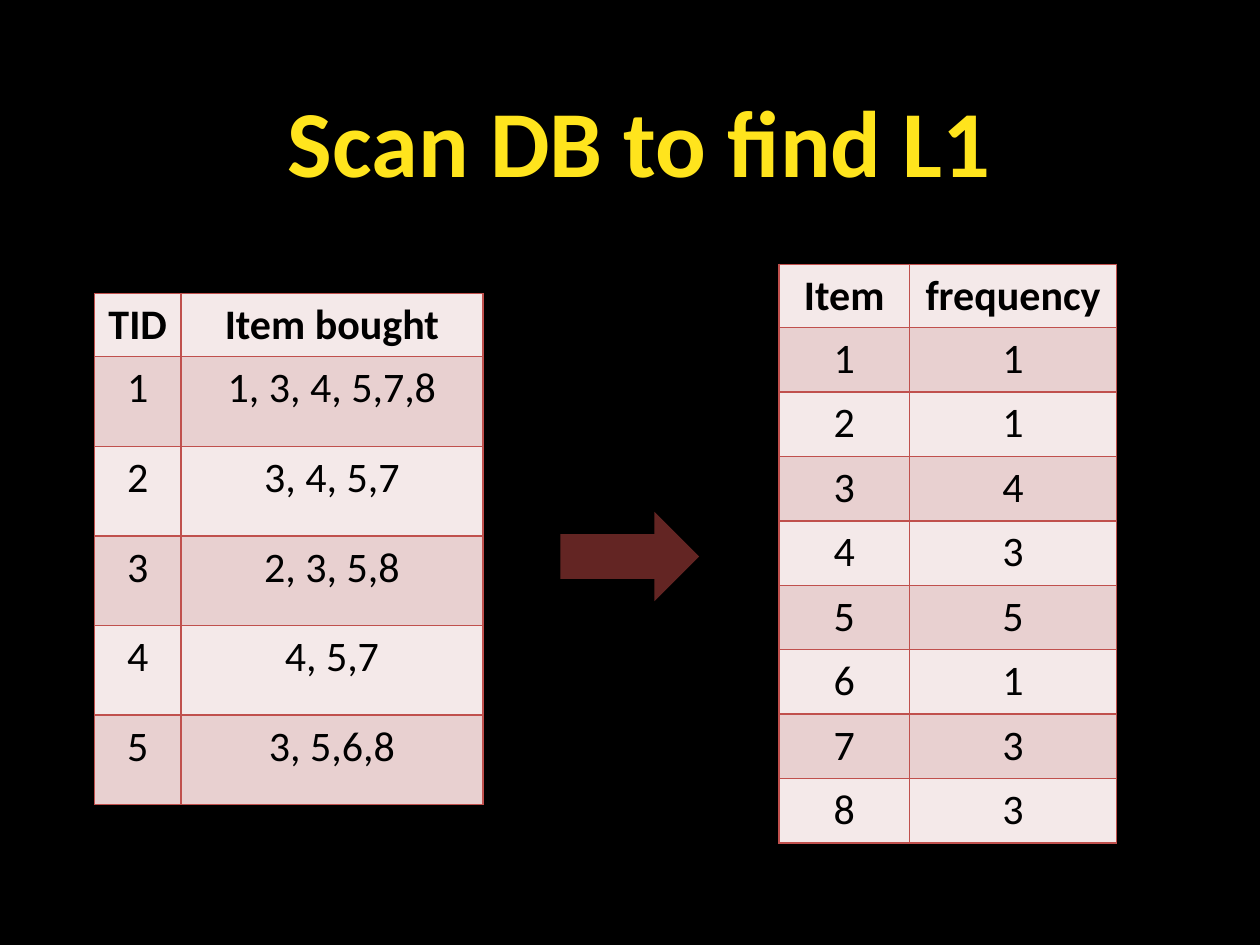
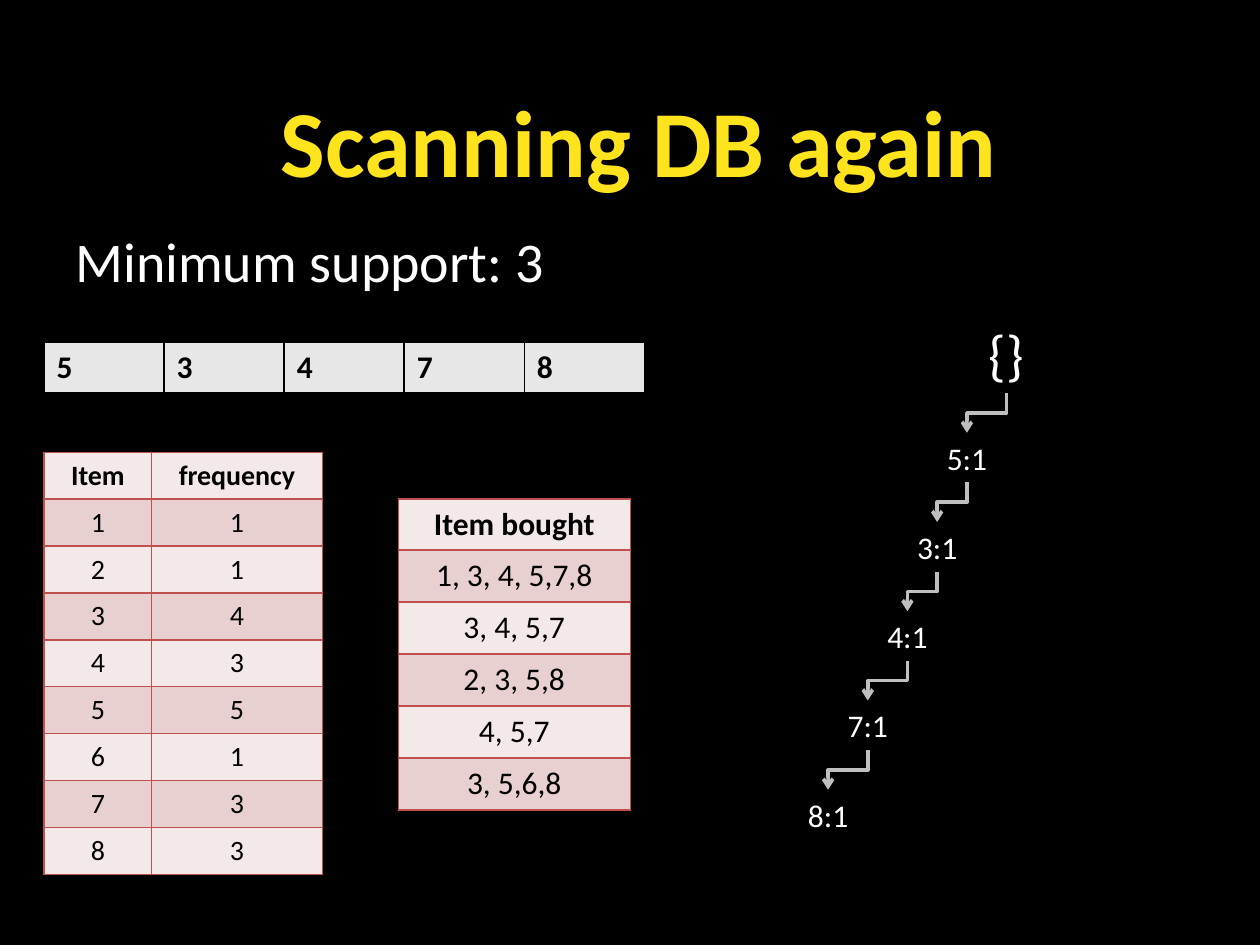
from itertools import pairwise

from lxml import etree
from pptx import Presentation
from pptx.dml.color import RGBColor
from pptx.enum import shapes, text
from pptx.oxml import ns
from pptx.util import Pt

BLACK = RGBColor(0x00, 0x00, 0x00)
WHITE = RGBColor(0xFF, 0xFF, 0xFF)
YELLOW = RGBColor(0xFF, 0xE4, 0x1D)
PALE = RGBColor(0xF4, 0xE9, 0xE9)
PINK = RGBColor(0xE8, 0xD0, 0xD0)
RED = RGBColor(0xC0, 0x50, 0x4D)
MAROON = RGBColor(0x63, 0x25, 0x23)
LIGHT = RGBColor(0xE7, 0xE7, 0xE7)
GREY = RGBColor(0xBF, 0xBF, 0xBF)

FONT = "Calibri"
CENTER = text.PP_ALIGN.CENTER
LEFT = text.PP_ALIGN.LEFT

BASKETS = ["1, 3, 4, 5,7,8", "3, 4, 5,7", "2, 3, 5,8", "4, 5,7", "3, 5,6,8"]
COUNTS = [1, 1, 4, 3, 5, 1, 3, 3]
ITEMS_BOUGHT = [["Item bought"]] + [[b] for b in BASKETS]
TRANSACTIONS = [["TID", "Item bought"]] + [[str(i), b] for i, b in enumerate(BASKETS, 1)]
FREQUENCIES = [["Item", "frequency"]] + [[str(i), str(n)] for i, n in enumerate(COUNTS, 1)]
FREQUENT_ITEMS = [["5", "3", "4", "7", "8"]]
TREE_NODES = [("{}", 24), ("5:1", 20), ("3:1", 17), ("4:1", 14), ("7:1", 10), ("8:1", 6)]


def write(tf, words, size, color, align=LEFT, bold=False):
    """Put one formatted paragraph into a text frame."""
    tf.text = words
    p = tf.paragraphs[0]
    p.alignment = align
    font = p.runs[0].font
    font.name, font.size, font.bold = FONT, Pt(size), bold
    font.color.rgb = color


def add_text(parent, box, words, size, color, align=LEFT, bold=False):
    """Add a wrapping text box and return its text frame."""
    tf = parent.add_textbox(*map(Pt, box)).text_frame
    tf.word_wrap = True
    write(tf, words, size, color, align, bold)
    return tf


def add_slide(prs, title, box):
    """Add a black slide with a yellow title."""
    s = prs.slides.add_slide(prs.slide_layouts[6])
    fill = s.background.fill
    fill.solid()
    fill.fore_color.rgb = BLACK
    tf = add_text(s.shapes, box, title, 54, YELLOW, CENTER, True)
    tf.word_wrap = False
    return s


def set_borders(cell, color):
    """Draw a one-point line on each side of a cell."""
    tcPr = cell._tc.get_or_add_tcPr()
    for side in ("lnL", "lnR", "lnT", "lnB"):
        ln = etree.SubElement(tcPr, ns.qn(f"a:{side}"), w=str(Pt(1)))
        fill = etree.SubElement(ln, ns.qn("a:solidFill"))
        etree.SubElement(fill, ns.qn("a:srgbClr"), val=str(color))


def add_grid(s, box, rows, widths, head, size, fills=(PALE, PINK), line=RED, align=CENTER):
    """Add a banded table whose body rows share the height below the head."""
    table = s.shapes.add_table(len(rows), len(widths), *map(Pt, box)).table
    for col, width in zip(table.columns, widths):
        col.width = Pt(width)
    for i, row in enumerate(rows):
        table.rows[i].height = Pt((box[3] - head) / (len(rows) - 1) if i else head)
        for j, words in enumerate(row):
            cell = table.cell(i, j)
            write(cell.text_frame, words, size, BLACK, align, i == 0)
            set_borders(cell, line)
            cell.fill.solid()
            cell.fill.fore_color.rgb = fills[i % len(fills)]


def add_arrow(s, box):
    """Add the block arrow between two tables."""
    sp = s.shapes.add_shape(shapes.MSO_SHAPE.RIGHT_ARROW, *map(Pt, box))
    sp.shadow.inherit = False
    sp.fill.solid()
    sp.fill.fore_color.rgb = MAROON
    sp.line.fill.background()


def add_link(parent, x1, y1, x2, y2):
    """Add an elbow arrow that leaves downwards, by a quarter turn."""
    cx, cy, dx, dy = (x1 + x2) / 2, (y1 + y2) / 2, x1 - x2, y2 - y1
    ends = (cx - dy / 2, cy - dx / 2, cx + dy / 2, cy + dx / 2)
    link = parent.add_connector(shapes.MSO_CONNECTOR.ELBOW, *map(Pt, ends))
    link.line.color.rgb = GREY
    link.line.width = Pt(2)
    spPr = link._element.spPr
    spPr.find(ns.qn("a:xfrm")).set("rot", str(90 * 60000))
    etree.SubElement(link.line._get_or_add_ln(), ns.qn("a:tailEnd"), type="arrow")
    etree.SubElement(spPr, ns.qn("a:effectLst"))


def add_tree(s, box):
    """Add a chain of nodes on a grid 30 units wide, joined by elbow arrows."""
    left, top, width, _ = box
    unit = width / 30
    parent = s.shapes.add_group_shape().shapes
    placed = []
    for i, (words, column) in enumerate(TREE_NODES):
        x = left + column * unit
        height, size = (5 * unit, 18) if i else (8 * unit, 32)
        tf = add_text(parent, (x - 6 * unit, top, 12 * unit, height), words, size, WHITE, CENTER)
        tf.vertical_anchor = text.MSO_ANCHOR.MIDDLE
        tf.margin_top = tf.margin_bottom = 0
        placed.append((x, top, top + height))
        top += height + 4 * unit
    for (x1, _, bottom), (x2, y2, _) in pairwise(placed):
        add_link(parent, x1, bottom, x2, y2)


def build_first_scan(prs):
    """Build the slide that counts items in the transactions."""
    s = add_slide(prs, "Scan DB to find L1", (155, 44, 421, 73))
    add_grid(s, (54, 167.8, 222, 292), TRANSACTIONS, (49.4, 172.6), 36, 24)
    add_arrow(s, (320.3, 292.5, 79.2, 51))
    add_grid(s, (445, 151, 193, 331), FREQUENCIES, (74.8, 118.2), 36, 24)


def build_second_scan(prs):
    """Build the slide that starts the tree from the frequent items."""
    s = add_slide(prs, "Scanning DB again", (151, 44, 428, 73))
    add_text(s.shapes, (36, 126, 648, 356), "Minimum support: 3", 32, WHITE)
    add_grid(s, (227.6, 285.2, 132.6, 177.6), ITEMS_BOUGHT, (132.6,), 29.2, 18)
    add_grid(s, (25.2, 258.5, 159, 241.2), FREQUENCIES, (61.5, 97.5), 26.8, 16)
    add_grid(s, (25.2, 195.5, 343, 29.2), FREQUENT_ITEMS, (68.6,) * 5, 29.2, 18,
             (LIGHT,), BLACK, LEFT)
    add_tree(s, (439.2, 179.3, 170, 300.3))


prs = Presentation()
prs.slide_width, prs.slide_height = Pt(720), Pt(540)
build_first_scan(prs)
build_second_scan(prs)
prs.save("out.pptx")
